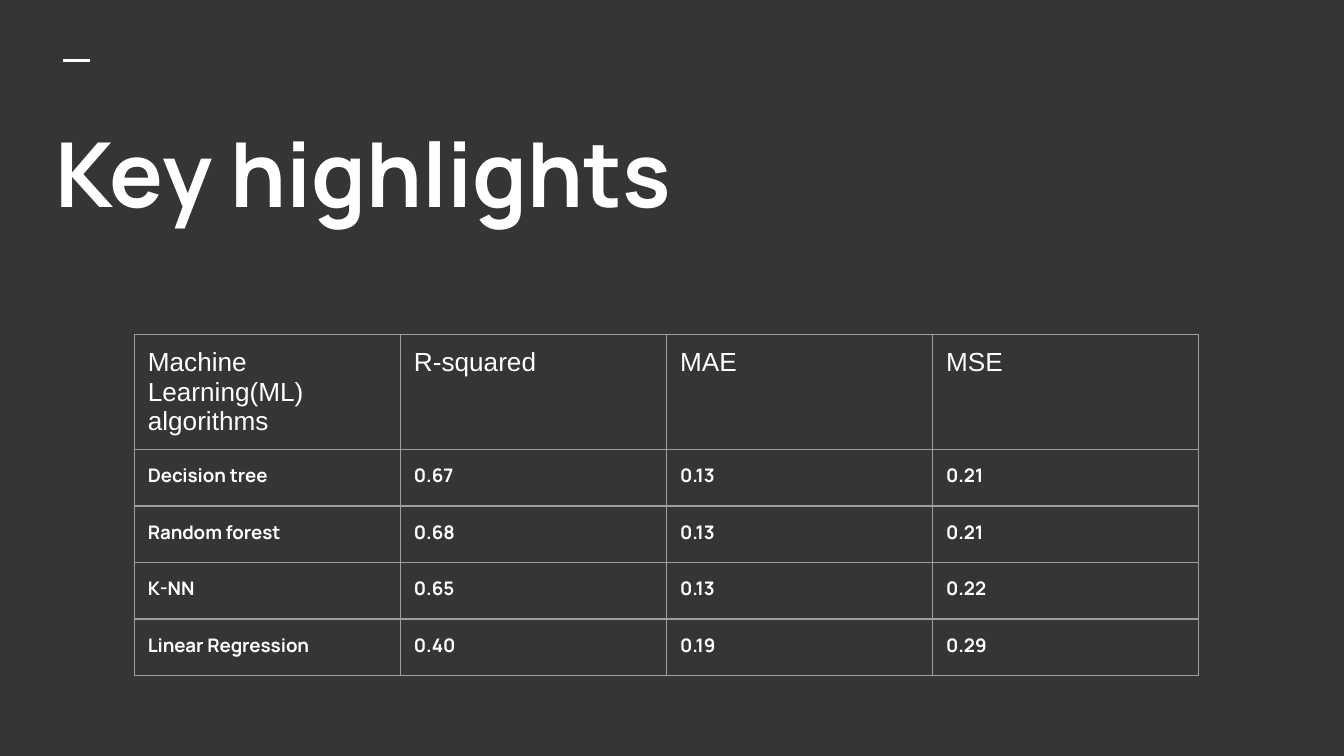
import pptx
import pptx.dml.color
import pptx.enum.shapes
import pptx.enum.text
import pptx.util
from lxml import etree
from pptx.oxml.ns import qn

Inches, Pt = pptx.util.Inches, pptx.util.Pt


def paint(color_format, hex_color):
    color_format.rgb = pptx.dml.color.RGBColor.from_string(hex_color)


def format_text(paragraph, font_name, size, bold):
    paragraph.font.name = font_name
    paragraph.font.size = Pt(size)
    paragraph.font.bold = bold
    paint(paragraph.font.color, "FFFFFF")


# Widescreen slide, 16 to 9
deck = pptx.Presentation()
deck.slide_width = Inches(10)
deck.slide_height = deck.slide_width * 9 // 16
slide = deck.slides.add_slide(deck.slide_layouts[5])
slide.background.fill.solid()
paint(slide.background.fill.fore_color, "353535")

# Short accent dash above the title
dash = slide.shapes.add_connector(
    pptx.enum.shapes.MSO_CONNECTOR.STRAIGHT,
    Inches(0.47), Inches(0.45), Inches(0.67), Inches(0.45))
paint(dash.line.color, "FFFFFF")
dash.line.width = Pt(1.5)
etree.SubElement(dash._element.spPr, qn("a:effectLst"))

# Title
heading = slide.shapes.title
heading.left, heading.top = Inches(0.31), Inches(0.78)
heading.width, heading.height = Inches(9.44), Inches(4.19)
heading_frame = heading.text_frame
heading_frame.text = "Key highlights"
heading_frame.word_wrap = True
heading_frame.auto_size = pptx.enum.text.MSO_AUTO_SIZE.NONE
heading_frame.vertical_anchor = pptx.enum.text.MSO_ANCHOR.TOP
heading_frame.margin_left = heading_frame.margin_right = Inches(0.1)
heading_frame.margin_top = heading_frame.margin_bottom = Inches(0.1)
heading_frame.paragraphs[0].alignment = pptx.enum.text.PP_ALIGN.LEFT
format_text(heading_frame.paragraphs[0], "Manrope", 48, True)

# Model scores
scores = [
    ["Machine Learning(ML) algorithms", "R-squared", "MAE", "MSE"],
    ["Decision tree", "0.67", "0.13", "0.21"],
    ["Random forest", "0.68", "0.13", "0.21"],
    ["K-NN", "0.65", "0.13", "0.22"],
    ["Linear Regression", "0.40", "0.19", "0.29"],
]
column_width, row_height = 1.98, 0.42
row_count, column_count = len(scores), len(scores[0])
score_table = slide.shapes.add_table(
    row_count, column_count, Inches(1), Inches(2.49),
    Inches(column_width * column_count), Inches(row_height * row_count)).table
score_table.first_row = score_table.horz_banding = False

for row_index, row in enumerate(scores):
    for column_index, wording in enumerate(row):
        cell = score_table.cell(row_index, column_index)
        cell.text = wording
        cell.margin_left = cell.margin_right = Inches(0.1)
        cell.margin_top = cell.margin_bottom = Inches(0.1)
        header = row_index == 0
        format_text(cell.text_frame.paragraphs[0],
                    "Arial" if header else "Manrope",
                    14 if header else 10, not header)

        # Thin grey borders, which precede the fill in the cell properties
        properties = cell._tc.get_or_add_tcPr()
        for side in ("lnL", "lnR", "lnT", "lnB"):
            border = etree.SubElement(properties, qn(f"a:{side}"), w=str(Pt(0.75)))
            border_fill = etree.SubElement(border, qn("a:solidFill"))
            etree.SubElement(border_fill, qn("a:srgbClr"), val="9E9E9E")
        cell.fill.background()

deck.save("out.pptx")
